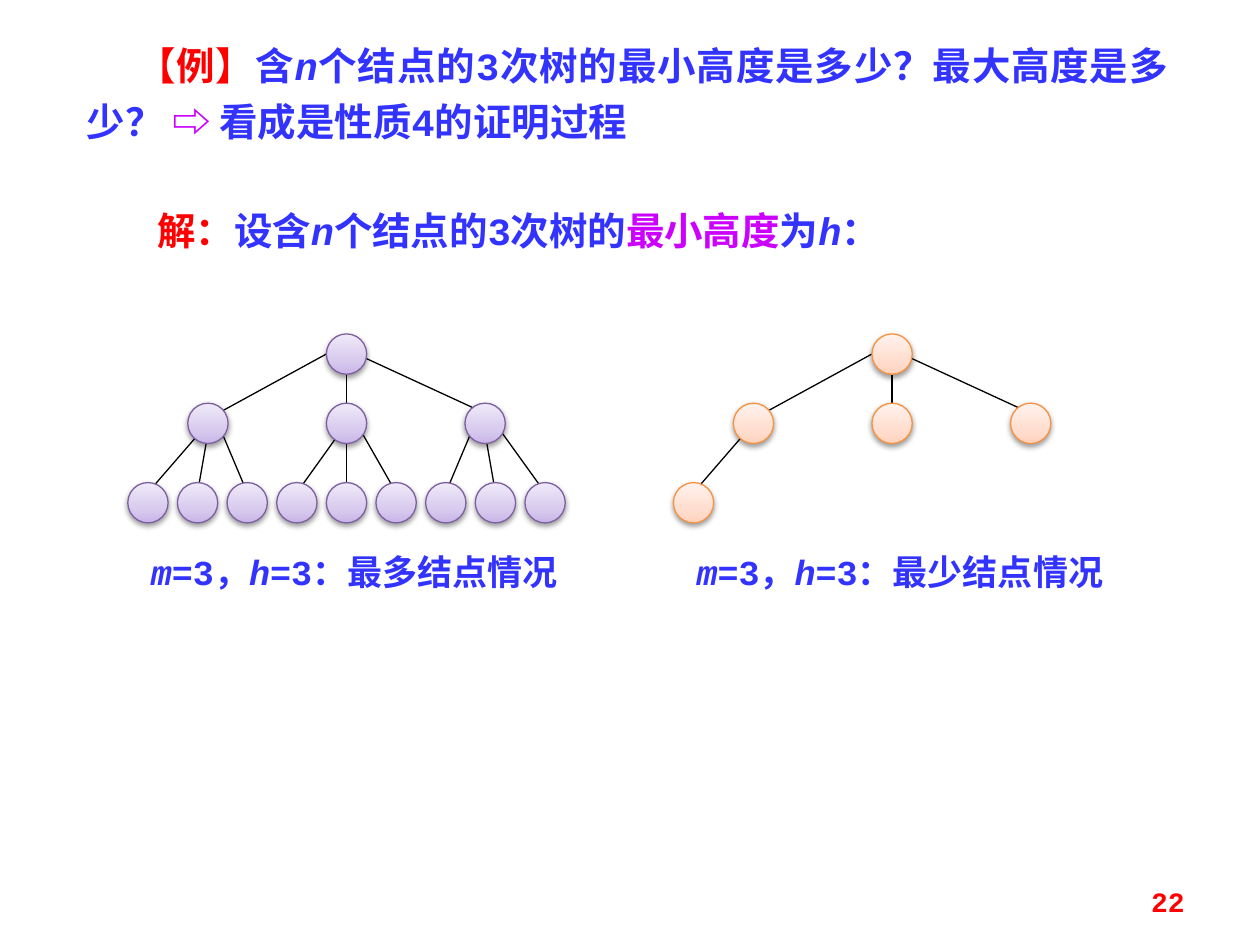
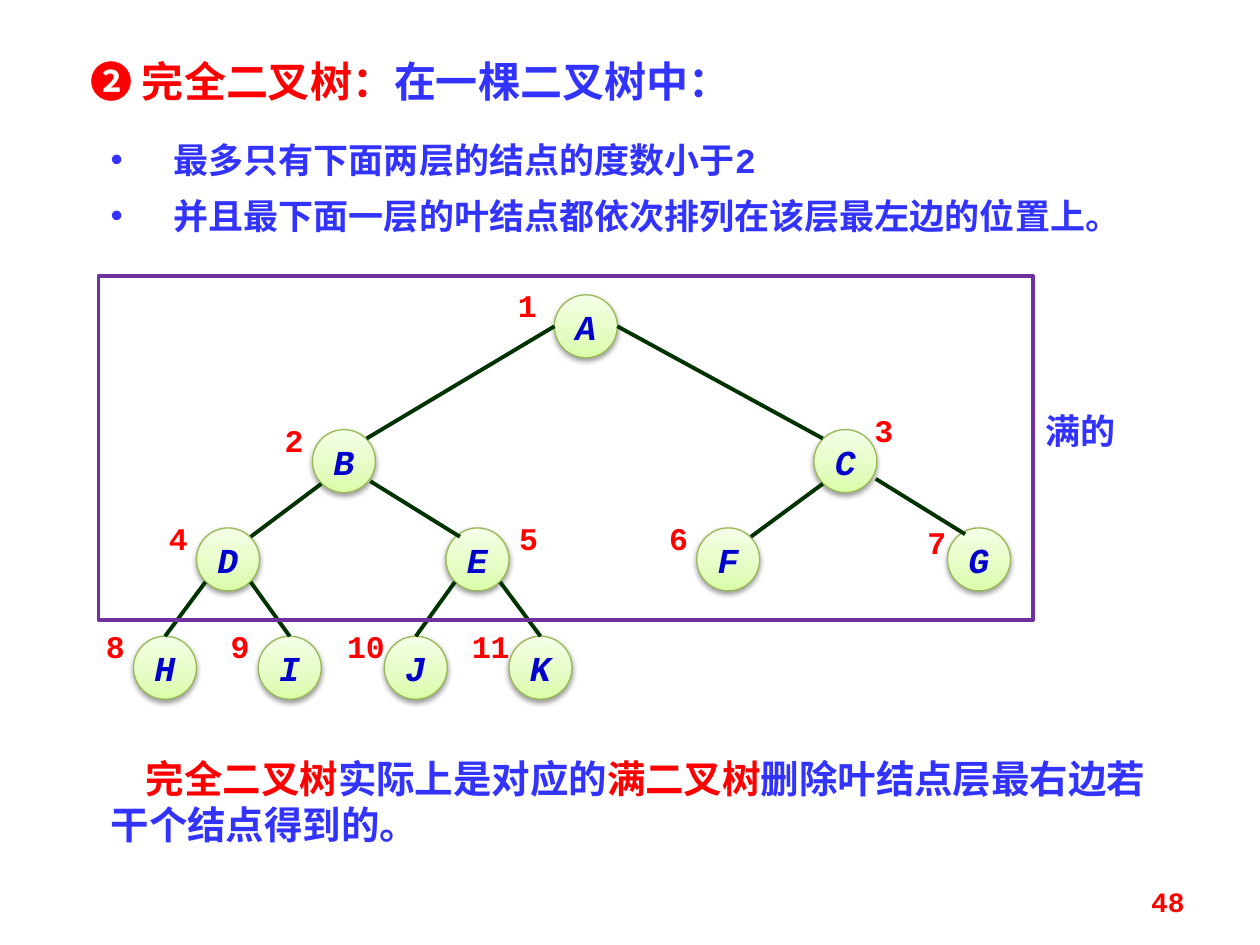
from dataclasses import dataclass
from typing import NamedTuple, Optional, Sequence

from lxml import etree
from pptx import Presentation
from pptx.dml.color import RGBColor
from pptx.enum.shapes import MSO_CONNECTOR, MSO_SHAPE
from pptx.enum.text import MSO_ANCHOR, PP_ALIGN
from pptx.oxml.ns import qn
from pptx.util import Inches, Length, Pt

LEFT, CENTER, RIGHT, JUSTIFY = PP_ALIGN.LEFT, PP_ALIGN.CENTER, PP_ALIGN.RIGHT, PP_ALIGN.JUSTIFY
TOP, MIDDLE = MSO_ANCHOR.TOP, MSO_ANCHOR.MIDDLE
STRAIGHT = MSO_CONNECTOR.STRAIGHT
ELLIPSE, RECTANGLE = MSO_SHAPE.OVAL, MSO_SHAPE.RECTANGLE


class NodeStyle(NamedTuple):
    stops: tuple[tuple[int, str], ...]  # percent, colour, from bottom to top
    outline: str


@dataclass(frozen=True)
class Theme:
    font: str = "Courier New"
    blue: str = "3333FF"
    red: str = "FF0000"
    magenta: str = "CC00FF"
    letter: str = "0000CC"
    thin_edge: str = "000000"
    thick_edge: str = "003300"
    frame: str = "7030A0"
    heading_size: int = 24
    text_size: int = 22
    small_size: int = 20
    number_size: int = 18
    footer_size: int = 16
    purple_node: NodeStyle = NodeStyle(((0, "C9B5E8"), (35, "D8CBEE"), (100, "F0EAF9")), "7D60A0")
    orange_node: NodeStyle = NodeStyle(((0, "FFD2BD"), (35, "FFDED0"), (100, "FFF2ED")), "F69240")
    green_node: NodeStyle = NodeStyle(((0, "DAFDA7"), (35, "E4FCC2"), (100, "F5FFE7")), "98B955")


THEME = Theme()


class Run(NamedTuple):
    text: str
    color: str = THEME.blue
    italic: bool = False


class Box(NamedTuple):
    left: float
    top: float
    width: float
    height: float

    def lengths(self) -> tuple[Length, ...]:
        return tuple(Inches(value) for value in self)


class Point(NamedTuple):
    x: float
    y: float

    def moved(self, dx: float, dy: float) -> "Point":
        return Point(self.x + dx, self.y + dy)


class TreeNode(NamedTuple):
    letter: str
    center: Point
    number_offset: Point = Point(-0.36, -0.07)


class Edge(NamedTuple):
    parent: str
    child: str
    start: Point
    end: Optional[Point] = None  # None joins the top of the child


# Shared drawing functions
def write_text(text_frame, paragraphs: Sequence[Sequence[Run]], *, size: int,
               align=LEFT, anchor=TOP, line_spacing=None, first_indent: float = 0,
               bullet: bool = False, wrap: bool = True, inset: Optional[float] = None) -> None:
    text_frame.word_wrap = wrap
    text_frame.vertical_anchor = anchor
    if inset is not None:
        text_frame.margin_left = text_frame.margin_right = Inches(inset)
        text_frame.margin_top = text_frame.margin_bottom = Inches(inset)
    for index, runs in enumerate(paragraphs):
        paragraph = text_frame.add_paragraph() if index else text_frame.paragraphs[0]
        paragraph.alignment = align
        paragraph.line_spacing = line_spacing
        properties = paragraph._p.get_or_add_pPr()
        if bullet:
            properties.set("marL", str(Inches(0.5)))
            properties.set("indent", str(Inches(-0.5)))
            etree.SubElement(properties, qn("a:buFont"), typeface="Arial")
            etree.SubElement(properties, qn("a:buChar"), char="•")
        elif first_indent:
            properties.set("indent", str(Inches(first_indent)))
        for item in runs:
            run = paragraph.add_run()
            run.text = item.text
            font = run.font
            font.name, font.size = THEME.font, Pt(size)
            font.bold, font.italic = True, item.italic
            font.color.rgb = RGBColor.from_string(item.color)


def add_text(slide, box: Box, *paragraphs: Sequence[Run], **text_format) -> None:
    shape = slide.shapes.add_textbox(*box.lengths())
    write_text(shape.text_frame, paragraphs, **text_format)


def add_edge(slide, start: Point, end: Point, color: str, width: float):
    connector = slide.shapes.add_connector(
        STRAIGHT, Inches(start.x), Inches(start.y), Inches(end.x), Inches(end.y))
    connector.line.color.rgb = RGBColor.from_string(color)
    connector.line.width = Pt(width)
    etree.SubElement(connector._element.spPr, qn("a:effectLst"))
    return connector


def add_node(slide, center: Point, diameter: float, style: NodeStyle, letter: str = ""):
    box = Box(center.x - diameter / 2, center.y - diameter / 2, diameter, diameter)
    shape = slide.shapes.add_shape(ELLIPSE, *box.lengths())
    shape.fill.gradient()
    shape.fill.gradient_angle = 90
    stop_list = shape._element.spPr.find(qn("a:gradFill")).find(qn("a:gsLst"))
    for stop in list(stop_list):
        stop_list.remove(stop)
    for percent, color in style.stops:
        stop = etree.SubElement(stop_list, qn("a:gs"), pos=str(percent * 1000))
        etree.SubElement(stop, qn("a:srgbClr"), val=color)
    shape.line.color.rgb = RGBColor.from_string(style.outline)
    shape.line.width = Pt(0.75)
    # Soft shadow below the node
    shape.shadow.inherit = False
    effects = shape._element.spPr.find(qn("a:effectLst"))
    shadow = etree.SubElement(effects, qn("a:outerShdw"), blurRad=str(Pt(3.1)),
                              dist=str(Pt(1.6)), dir="5400000", rotWithShape="0")
    shadow_color = etree.SubElement(shadow, qn("a:srgbClr"), val="000000")
    etree.SubElement(shadow_color, qn("a:alpha"), val="38000")
    if letter:
        write_text(shape.text_frame, [[Run(letter, THEME.letter, True)]],
                   size=THEME.small_size, align=CENTER, anchor=MIDDLE, wrap=False)
    return shape


def add_slide(presentation, page_number: int):
    slide = presentation.slides.add_slide(presentation.slide_layouts[6])
    add_text(slide, Box(7.17, 6.95, 2.33, 0.4), [Run(str(page_number), THEME.red)],
             size=THEME.footer_size, align=RIGHT, anchor=MIDDLE)
    return slide


# Slide 1: ternary trees of height 3
BRANCH_STARTS = ((0, 0, 0.08), (0, 0, 0.08), (-0.08, 0, 0.08))
ROOT_STARTS = (Point(-0.16, 0), Point(0, 0.08), Point(0.08, 0))
ROOT_ENDS = (Point(0.08, -0.08), Point(0, -0.08), Point(0, -0.08))


def add_ternary_tree(slide, root: Point, leaf_count: int, style: NodeStyle, caption: str) -> None:
    branches = [root.moved(1.1 * step, 0.55) for step in (-1, 0, 1)]
    leaves = [root.moved(0.394 * step, 1.18) for step in range(-4, 5)][:leaf_count]
    for branch, start, end in zip(branches, ROOT_STARTS, ROOT_ENDS):
        add_edge(slide, root.moved(*start), branch.moved(*end), THEME.thin_edge, 0.75)
    for index, leaf in enumerate(leaves):
        parent, child = divmod(index, 3)
        start = branches[parent].moved(BRANCH_STARTS[parent][child], 0.08 if child == 1 else 0)
        add_edge(slide, start, leaf.moved(0, -0.08), THEME.thin_edge, 0.75)
    for center in (root, *branches, *leaves):
        add_node(slide, center, 0.32, style)
    add_text(slide, Box(root.x - 1.65, 4.32, 3.7, 0.44),
             [Run("m", italic=True), Run("=3，"), Run("h", italic=True), Run("=3：" + caption)],
             size=THEME.small_size)


def build_height_slide(presentation) -> None:
    slide = add_slide(presentation, 22)
    add_text(slide, Box(0.59, 0.21, 8.78, 0.99),
             [Run("【例】", THEME.red), Run("含"), Run("n", italic=True),
              Run("个结点的3次树的最小高度是多少？最大高度是多少？ "),
              Run("⇨ ", THEME.magenta), Run("看成是性质4的证明过程")],
             size=THEME.text_size, align=JUSTIFY, line_spacing=Pt(32), first_indent=0.4)
    add_text(slide, Box(0.78, 1.56, 7.15, 0.51),
             [Run("解：", THEME.red), Run("设含"), Run("n", italic=True),
              Run("个结点的3次树的"), Run("最小高度", THEME.magenta), Run("为"),
              Run("h", italic=True), Run("：")],
             size=THEME.text_size, align=JUSTIFY, line_spacing=1.1, first_indent=0.37)
    add_ternary_tree(slide, Point(2.75, 2.81), 9, THEME.purple_node, "最多结点情况")
    add_ternary_tree(slide, Point(7.08, 2.81), 1, THEME.orange_node, "最少结点情况")


# Slide 2: complete binary tree, nodes numbered level by level
BINARY_NODES = (
    TreeNode("A", Point(4.65, 2.59), Point(-0.43, -0.07)),
    TreeNode("B", Point(2.73, 3.66)),
    TreeNode("C", Point(6.71, 3.66), Point(0.34, -0.15)),
    TreeNode("D", Point(1.81, 4.44)),
    TreeNode("E", Point(3.79, 4.44), Point(0.44, -0.07)),
    TreeNode("F", Point(5.78, 4.44)),
    TreeNode("G", Point(7.77, 4.44), Point(-0.3, -0.04)),
    TreeNode("H", Point(1.31, 5.3)),
    TreeNode("I", Point(2.3, 5.3)),
    TreeNode("J", Point(3.3, 5.3)),
    TreeNode("K", Point(4.29, 5.3)),
)
LOWER_LEFT, LOWER_RIGHT = Point(-0.18, 0.18), Point(0.18, 0.18)
UPPER_LEFT, UPPER_RIGHT = Point(-0.18, -0.18), Point(0.18, -0.18)
BINARY_EDGES = (
    Edge("A", "B", Point(-0.25, 0), UPPER_RIGHT),
    Edge("A", "C", Point(0.25, 0), UPPER_LEFT),
    Edge("B", "D", LOWER_LEFT, UPPER_RIGHT),
    Edge("B", "E", Point(0.21, 0.16), Point(-0.14, -0.18)),
    Edge("C", "F", LOWER_LEFT, UPPER_RIGHT),
    Edge("C", "G", Point(0.24, 0.14), Point(-0.11, -0.2)),
    Edge("D", "H", LOWER_LEFT),
    Edge("D", "I", LOWER_RIGHT),
    Edge("E", "J", LOWER_LEFT),
    Edge("E", "K", LOWER_RIGHT),
)


def add_binary_tree(slide) -> None:
    diameter = 0.5
    centers = {node.letter: node.center for node in BINARY_NODES}
    shapes = {}
    for number, node in enumerate(BINARY_NODES, start=1):
        shapes[node.letter] = add_node(slide, node.center, diameter, THEME.green_node, node.letter)
        corner = node.center.moved(-diameter / 2, -diameter / 2).moved(*node.number_offset)
        add_text(slide, Box(corner.x, corner.y, 0.43, 0.31), [Run(str(number), THEME.red)],
                 size=THEME.number_size, align=CENTER, inset=0)
    for edge in BINARY_EDGES:
        child_offset = edge.end or Point(0, -diameter / 2)
        connector = add_edge(slide, centers[edge.parent].moved(*edge.start),
                             centers[edge.child].moved(*child_offset), THEME.thick_edge, 2.25)
        if edge.end is None:
            connector.end_connect(shapes[edge.child], 0)


def build_complete_tree_slide(presentation) -> None:
    slide = add_slide(presentation, 48)
    add_text(slide, Box(0.62, 0.39, 6.33, 0.5),
             [Run("❷ 完全二叉树：", THEME.red), Run("在一棵二叉树中：")], size=THEME.heading_size)
    add_text(slide, Box(0.78, 0.94, 8.52, 1),
             [Run("最多只有下面两层的结点的度数小于2")],
             [Run("并且最下面一层的叶结点都依次排列在该层最左边的位置上。")],
             size=THEME.small_size, line_spacing=Pt(32), bullet=True)
    add_binary_tree(slide)
    add_text(slide, Box(0.78, 5.94, 8.67, 0.84),
             [Run("完全二叉树", THEME.red), Run("实际上是对应的"), Run("满二叉树", THEME.red),
              Run("删除叶结点层最右边若干个结点得到的。")],
             size=THEME.text_size, first_indent=0.28)
    # Frame around the full levels
    frame = slide.shapes.add_shape(RECTANGLE, *Box(0.78, 2.19, 7.42, 2.73).lengths())
    frame.shadow.inherit = False
    frame.fill.background()
    frame.line.color.rgb = RGBColor.from_string(THEME.frame)
    frame.line.width = Pt(2)
    add_text(slide, Box(8.2, 3.2, 0.86, 0.44), [Run("满的")], size=THEME.small_size)


def main() -> None:
    presentation = Presentation()
    presentation.slide_width, presentation.slide_height = Inches(10), Inches(7.5)
    build_height_slide(presentation)
    build_complete_tree_slide(presentation)
    presentation.save("out.pptx")


if __name__ == "__main__":
    main()
